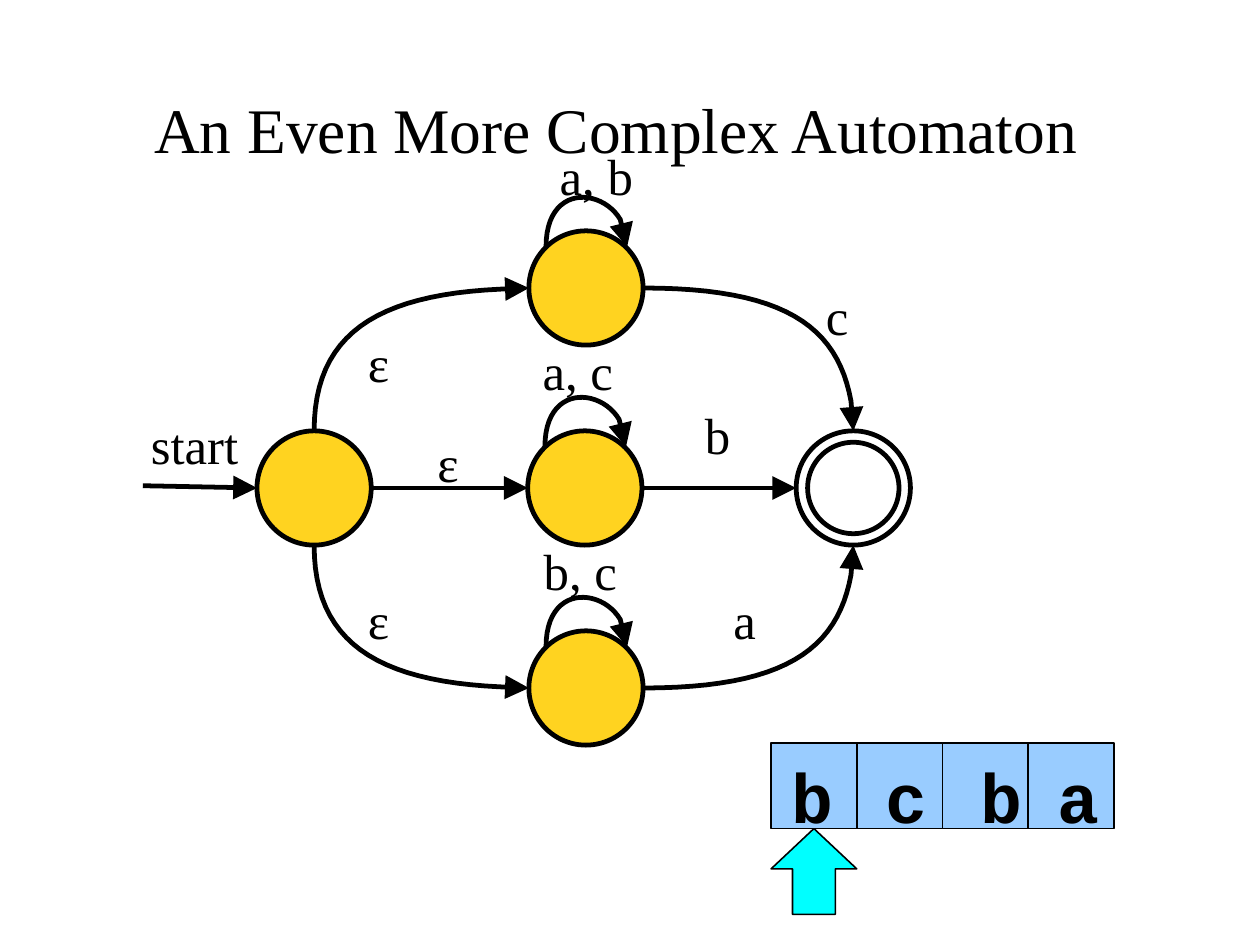
from dataclasses import dataclass

from lxml import etree
from pptx import Presentation
from pptx.dml.color import RGBColor
from pptx.enum.shapes import MSO_CONNECTOR, MSO_SHAPE
from pptx.enum.text import MSO_ANCHOR, MSO_AUTO_SIZE, PP_ALIGN
from pptx.oxml.ns import qn
from pptx.util import Pt

PX = 9144  # 100 px to the inch
OVAL, SQUARE, UP_ARROW = MSO_SHAPE.OVAL, MSO_SHAPE.RECTANGLE, MSO_SHAPE.UP_ARROW
STRAIGHT = MSO_CONNECTOR.STRAIGHT
LEFT, TOP, FIXED = PP_ALIGN.LEFT, MSO_ANCHOR.TOP, MSO_AUTO_SIZE.NONE
TITLE_ONLY = 5

COLORS = {"ink": "000000", "state": "FFD320", "accept": "FFFFFF",
          "tape": "99CCFF", "head": "00FFFF"}
SERIF, MONO = "Times New Roman", "Courier New"
STROKE = 3
RADIUS, ACCEPT_RADIUS = 50, 40
MIDDLE, ROW_GAP = 427, 175
CELL, TAPE_LEFT, TAPE_TOP = 75, 675, 650
CURVE_STEPS = 24

Point = tuple[int, int]


@dataclass
class State:
    x: int
    y: int
    radius: int = RADIUS
    fill: str = "state"


@dataclass
class Curve:
    start: Point
    control_a: Point
    control_b: Point
    end: Point
    tip: Point


@dataclass
class Label:
    text: str
    x: int
    y: int


@dataclass
class Cell:
    symbol: str
    indent: int


LOOP_STATES = [State(513, MIDDLE - ROW_GAP), State(512, MIDDLE),
               State(513, MIDDLE + ROW_GAP)]
STATES = [State(275, MIDDLE), *LOOP_STATES, State(747, MIDDLE, fill="accept"),
          State(747, MIDDLE, ACCEPT_RADIUS, "accept")]
STRAIGHT_ARROWS = [((125, 425), (225, MIDDLE)), ((325, MIDDLE), (462, MIDDLE)),
                   ((562, MIDDLE), (697, MIDDLE))]
LABELS = [
    Label("start", 132, 362),
    Label("ε", 322, 290), Label("ε", 383, 378), Label("ε", 322, 515),
    Label("a, b", 490, 127), Label("a, c", 475, 297), Label("b, c", 476, 472),
    Label("c", 723, 249), Label("b", 617, 353), Label("a", 642, 515),
]
TAPE = [Cell("b", 18), Cell("c", 25), Cell("b", 33), Cell("a", 26)]


def color(name: str) -> RGBColor:
    return RGBColor.from_string(COLORS[name])


def write(box, text: str, *, size: int, font: str = SERIF, bold: bool = False,
          indent: int = 0, drop: int = 0) -> None:
    """Set one left-aligned line, inset by indent and drop px."""
    frame = box.text_frame
    frame.auto_size, frame.word_wrap, frame.vertical_anchor = FIXED, True, TOP
    frame.margin_left, frame.margin_top = indent * PX, drop * PX
    frame.margin_right = frame.margin_bottom = 0
    para = frame.paragraphs[0]
    para.alignment, para.line_spacing, para.space_before = LEFT, 1.0, Pt(0)
    span = para.add_run()
    span.text = text
    span.font.name, span.font.size, span.font.bold = font, Pt(size), bold
    span.font.color.rgb = color("ink")


def draw_shape(page, kind, x: int, y: int, side: int, fill: str, width: int):
    shape = page.shapes.add_shape(kind, x * PX, y * PX, side * PX, side * PX)
    shape.shadow.inherit = False
    shape.fill.solid()
    shape.fill.fore_color.rgb = color(fill)
    shape.line.color.rgb = color("ink")
    shape.line.width = Pt(width)
    return shape


def finish_arrow(arrow) -> None:
    """Give a line its stroke and arrowhead, and remove its shadow."""
    arrow.line.color.rgb = color("ink")
    arrow.line.width = Pt(STROKE)
    properties = arrow._element.spPr
    etree.SubElement(properties.find(qn("a:ln")), qn("a:tailEnd"),
                     type="triangle", w="lg", len="lg")
    etree.SubElement(properties, qn("a:effectLst"))


def draw_straight(page, start: Point, end: Point) -> None:
    ends = [value * PX for value in (*start, *end)]
    finish_arrow(page.shapes.add_connector(STRAIGHT, *ends))


def curve_point(curve: Curve, t: float) -> Point:
    """Return the cubic curve's point at t, in EMU."""
    s = 1 - t
    weights = (s ** 3, 3 * s * s * t, 3 * s * t * t, t ** 3)
    anchors = (curve.start, curve.control_a, curve.control_b, curve.end)
    x, y = (sum(w * a[axis] for w, a in zip(weights, anchors)) for axis in (0, 1))
    return round(x * PX), round(y * PX)


def draw_curve(page, curve: Curve) -> None:
    points = [curve_point(curve, i / CURVE_STEPS) for i in range(CURVE_STEPS + 1)]
    points.append((curve.tip[0] * PX, curve.tip[1] * PX))
    builder = page.shapes.build_freeform(*points[0])
    builder.add_line_segments(points[1:], close=False)
    arrow = builder.convert_to_shape()
    arrow.fill.background()
    finish_arrow(arrow)


def loop(state: State) -> Curve:
    offsets = [(-35, -36), (-35, -90), (13, -88), (30, -60), (36, -36)]
    return Curve(*((state.x + dx, state.y + dy) for dx, dy in offsets))


def branches(side: int) -> list[Curve]:
    """Return the curves to and from the upper (-1) or lower (1) state."""
    routes = [
        [(275, 50), (275, 134), (329, 169), (438, 174), (463, ROW_GAP)],
        [(563, ROW_GAP), (686, ROW_GAP), (733, 142), (745, 76), (747, 50)],
    ]
    return [Curve(*((x, MIDDLE + side * dy) for x, dy in route)) for route in routes]


def draw_automaton(page) -> None:
    for start, end in STRAIGHT_ARROWS:
        draw_straight(page, start, end)
    for curve in [*branches(-1), *branches(1), *map(loop, LOOP_STATES)]:
        draw_curve(page, curve)
    for state in STATES:
        draw_shape(page, OVAL, state.x - state.radius, state.y - state.radius,
                   2 * state.radius, state.fill, STROKE)
    for label in LABELS:
        box = page.shapes.add_textbox(label.x * PX, label.y * PX, 100 * PX, 54 * PX)
        write(box, label.text, size=32)


def draw_tape(page) -> None:
    for index, cell in enumerate(TAPE):
        box = draw_shape(page, SQUARE, TAPE_LEFT + index * CELL, TAPE_TOP,
                         CELL, "tape", 1)
        write(box, cell.symbol, size=44, font=MONO, bold=True,
              indent=cell.indent, drop=9)
    head = draw_shape(page, UP_ARROW, TAPE_LEFT, TAPE_TOP + CELL, CELL, "head", 1)
    head.adjustments[0], head.adjustments[1] = 0.5, 0.47


def main() -> None:
    deck = Presentation()
    deck.slide_width, deck.slide_height = 1103 * PX, 826 * PX
    page = deck.slides.add_slide(deck.slide_layouts[TITLE_ONLY])
    title = page.shapes.title
    title.left, title.top, title.width, title.height = (
        135 * PX, 79 * PX, 840 * PX, 66 * PX)
    write(title, "An Even More Complex Automaton", size=40)
    draw_automaton(page)
    draw_tape(page)
    deck.save("out.pptx")


if __name__ == "__main__":
    main()
